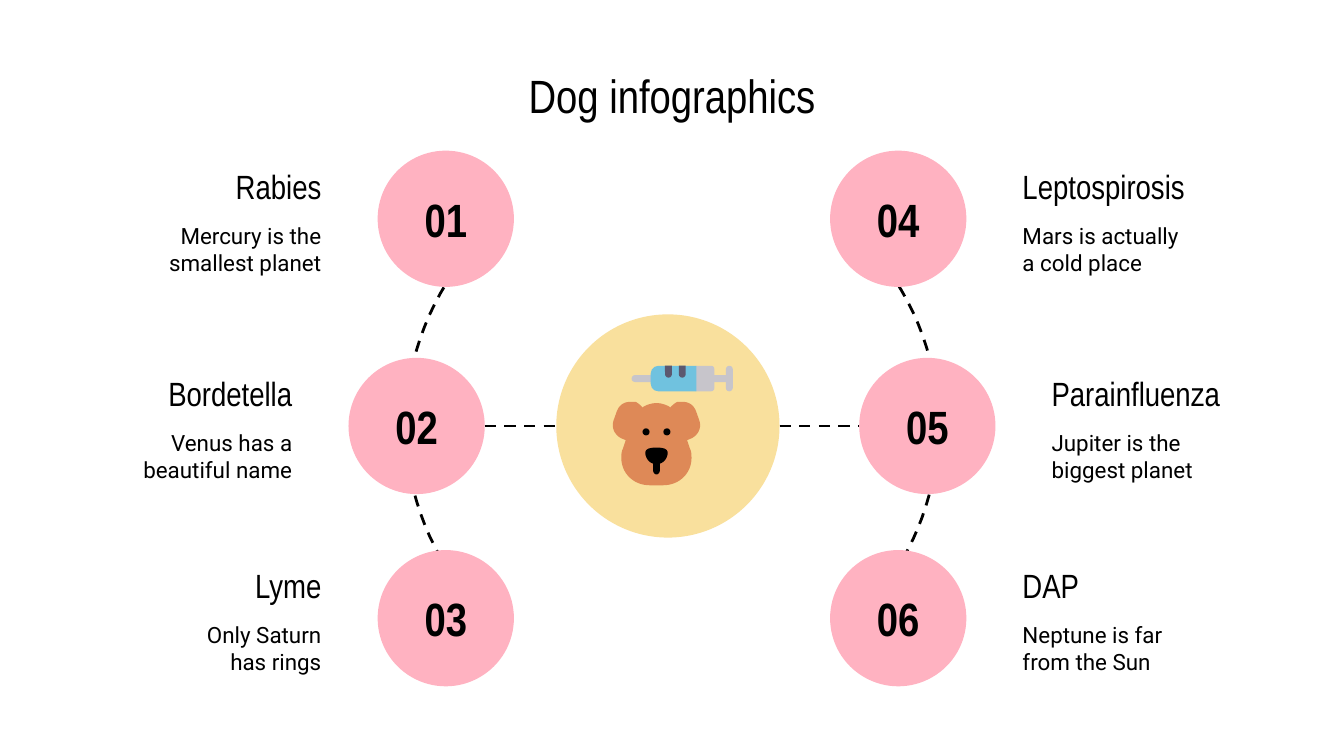
from pptx import Presentation
from pptx.dml.color import RGBColor
from pptx.enum import dml, shapes, text
from pptx.oxml import parse_xml
from pptx.util import Pt

BLACK = RGBColor(0, 0, 0)
PINK = RGBColor(0xFF, 0xB2, 0xC1)
CREAM = RGBColor(0xF9, 0xE0, 0x9D)
BROWN = RGBColor(0xDE, 0x89, 0x57)
BLUE = RGBColor(0x70, 0xC2, 0xDF)
GREY = RGBColor(0xC7, 0xC5, 0xCB)
SLATE = RGBColor(0x5C, 0x58, 0x6F)
NARROW, ROBOTO = "Arial Narrow", "Roboto"
LEFT, CENTER, RIGHT = text.PP_ALIGN.LEFT, text.PP_ALIGN.CENTER, text.PP_ALIGN.RIGHT
OVAL = shapes.MSO_SHAPE.OVAL
ROUND = shapes.MSO_SHAPE.ROUNDED_RECTANGLE
ROUND_TOP = shapes.MSO_SHAPE.ROUND_2_SAME_RECTANGLE

TITLE = "Dog infographics"
DISEASES = [
    ("Rabies", "Mercury is the smallest planet"),
    ("Bordetella", "Venus has a beautiful name"),
    ("Lyme", "Only Saturn\nhas rings"),
    ("Leptospirosis", "Mars is actually a cold place"),
    ("Parainfluenza", "Jupiter is the biggest planet"),
    ("DAP", "Neptune is far from the Sun"),
]

# Circle layout
MIDDLE_X = 360
ROWS = [(121.2, 117.2), (136.8, 228.2), (121.2, 331.2)]  # distance from middle, y
CIRCLE, HUB, TEXT_GAP = 73, 119.6, 23
HUB_CENTER = (357.8, 228.2)

# Curves are a start point, then segments of one point (line) or three (Bezier)
ARCS = [
    [(255.6, 325.4), [(231.8, 299.5), (217.4, 265.7), (217.4, 228.2)],
     [(217.4, 190.8), (231.8, 156.2), (254.9, 131)]],
    [(462.2, 128.9), [(487.4, 154.1), (502.6, 189.4), (502.6, 228.2)],
     [(502.6, 262.8), (490.3, 294.5), (470.2, 319)]],
]

# Dog parts: left half, x measured from the dog's axis
DOG_X = 351.7
EAR = [(-14, 215.3), [(-17, 215.3), (-19.8, 216.7), (-21.2, 220.3)],
       [(-23, 225.4)], [(-24.1, 229), (-22.7, 232.6), (-19.1, 234.7)],
       [(-15.5, 236.2)], [(-7.5, 218.9)], [(-7.5, 218.2)],
       [(-8.3, 217.4), (-9.7, 216), (-11.2, 215.3)]]
HEAD = [(0, 216), [(-6, 216), (-11.6, 220.2), (-13.2, 226)], [(-18, 240.5)],
        [(-18.8, 242), (-18.8, 244), (-18.8, 245.5)],
        [(-18.8, 253.5), (-12.3, 260), (-3.7, 260)]]
NOSE = [(0, 239.8), [(-1.5, 239.8), (-6, 239.8), (-6, 242.6)],
        [(-6, 244.8), (-4.5, 247.6), (-1.8, 248.4)], [(-1.8, 252)],
        [(-1.8, 253), (-1, 254.2), (0, 254.2)]]
EYE, EYE_OFFSET, EYE_Y = 3.8, 5.6, 231.4

# Syringe parts: preset, centre x, centre y, width, height, colour, corner, turn
SYRINGE = [
    (ROUND, 384.8, 202.8, 12.2, 3.7, GREY, 0, 0),
    (ROUND, 345.2, 202.8, 13.7, 3.7, GREY, 0.5, 0),
    (ROUND, 377.1, 202.8, 11.2, 13.7, GREY, 0.15, 0),
    (ROUND_TOP, 360.8, 202.8, 13.7, 24.4, BLUE, 0.3, 270),
    (ROUND, 390.7, 202.8, 3.7, 13.7, GREY, 0.5, 0),
    (ROUND_TOP, 365.5, 199.1, 3.7, 6.5, SLATE, 0.5, 180),
    (ROUND_TOP, 358.1, 199.1, 3.7, 6.5, SLATE, 0.5, 180),
]


def paint(sp, color):
    sp.shadow.inherit = False
    sp.fill.solid()
    sp.fill.fore_color.rgb = color
    sp.line.fill.background()


def dash(line):
    line.color.rgb = BLACK
    line.width = Pt(1.5)
    line.dash_style = dml.MSO_LINE.DASH


def add_centered(s, preset, x, y, w, h, color):
    sp = s.shapes.add_shape(preset, Pt(x - w / 2), Pt(y - h / 2), Pt(w), Pt(h))
    paint(sp, color)
    return sp


def write(tf, content, size, font, align, bold=False):
    tf.text = content
    tf.word_wrap = True
    tf.vertical_anchor = text.MSO_ANCHOR.MIDDLE
    for p in tf.paragraphs:
        p.alignment = align
        for r in p.runs:
            r.font.size, r.font.name, r.font.bold = Pt(size), font, bold
            r.font.color.rgb = BLACK


def set_margins(tf, margin):
    tf.margin_left = tf.margin_right = tf.margin_top = tf.margin_bottom = Pt(margin)


def add_text(s, x, y, w, h, *style):
    tf = s.shapes.add_textbox(Pt(x), Pt(y), Pt(w), Pt(h)).text_frame
    set_margins(tf, 7.2)
    write(tf, *style)


def flatten(curve, steps=16):
    """Turn a curve into the points of a fine polyline."""
    points = [curve[0]]
    for segment in curve[1:]:
        if len(segment) == 1:
            points += segment
            continue
        controls = [points[-1], *segment]
        for i in range(1, steps + 1):
            t = i / steps
            weights = ((1 - t) ** 3, 3 * t * (1 - t) ** 2, 3 * t * t * (1 - t), t ** 3)
            points.append(tuple(sum(w * c[k] for w, c in zip(weights, controls))
                                for k in (0, 1)))
    return points


def mirror(points):
    return [(-x, y) for x, y in reversed(points)]


def add_outline(s, points, close, dx=0):
    units = [((x + dx) * 100, y * 100) for x, y in points]
    builder = s.shapes.build_freeform(*units[0], scale=Pt(1) / 100)
    builder.add_line_segments(units[1:], close=close)
    sp = builder.convert_to_shape()
    sp.shadow.inherit = False
    return sp


def join(s, start, end):
    """Dashed line from the right of one circle to the left of the next."""
    y = start.top + start.height // 2
    line = s.shapes.add_connector(shapes.MSO_CONNECTOR.STRAIGHT,
                                  start.left + start.width, y, end.left, y)
    dash(line.line)
    line._element.spPr.append(parse_xml(
        '<a:effectLst xmlns:a="http://schemas.openxmlformats.org/drawingml/2006/main"/>'))


def add_disease(s, i, heading, body):
    on_left = i < 3
    side = -1 if on_left else 1
    offset, y = ROWS[i % 3]
    x = MIDDLE_X + side * offset
    circle = add_centered(s, OVAL, x, y, CIRCLE, CIRCLE, PINK)
    set_margins(circle.text_frame, 0)
    write(circle.text_frame, f"{i + 1:02}", 25, NARROW, CENTER, True)
    edge = x + side * (CIRCLE / 2 + TEXT_GAP)
    align = RIGHT if on_left else LEFT
    for content, w, h, dy, size, font in ((heading, 119.5, 32.4, -33.8, 18, NARROW),
                                          (body, 98.6, 36, -1.8, 12, ROBOTO)):
        add_text(s, edge - w if on_left else edge, y + dy, w, h,
                 content, size, font, align)
    return circle


def add_dog(s):
    ear, head, nose = (flatten(c) for c in (EAR, HEAD, NOSE))
    for points, color in ((ear, BROWN), (mirror(ear), BROWN),
                          (head + mirror(head), BROWN), (nose + mirror(nose), BLACK)):
        paint(add_outline(s, points, True, DOG_X), color)
    for side in (-1, 1):
        add_centered(s, OVAL, DOG_X + side * EYE_OFFSET, EYE_Y, EYE, EYE, BLACK)


def main():
    prs = Presentation()
    prs.slide_width, prs.slide_height = Pt(720), Pt(405)
    s = prs.slides.add_slide(prs.slide_layouts[5])
    title = s.shapes.title
    title.left, title.top, title.width, title.height = Pt(56.5), Pt(33), Pt(607), Pt(35.3)
    set_margins(title.text_frame, 0)
    write(title.text_frame, TITLE, 25, NARROW, CENTER)

    for arc in ARCS:
        sp = add_outline(s, flatten(arc), False)
        sp.fill.background()
        dash(sp.line)
    hub = add_centered(s, OVAL, *HUB_CENTER, HUB, HUB, CREAM)
    circles = [add_disease(s, i, *disease) for i, disease in enumerate(DISEASES)]
    join(s, circles[1], hub)
    join(s, hub, circles[4])

    for preset, x, y, w, h, color, corner, turn in SYRINGE:
        sp = add_centered(s, preset, x, y, w, h, color)
        sp.adjustments[0] = corner
        sp.rotation = turn
    add_dog(s)
    prs.save("out.pptx")


if __name__ == "__main__":
    main()
